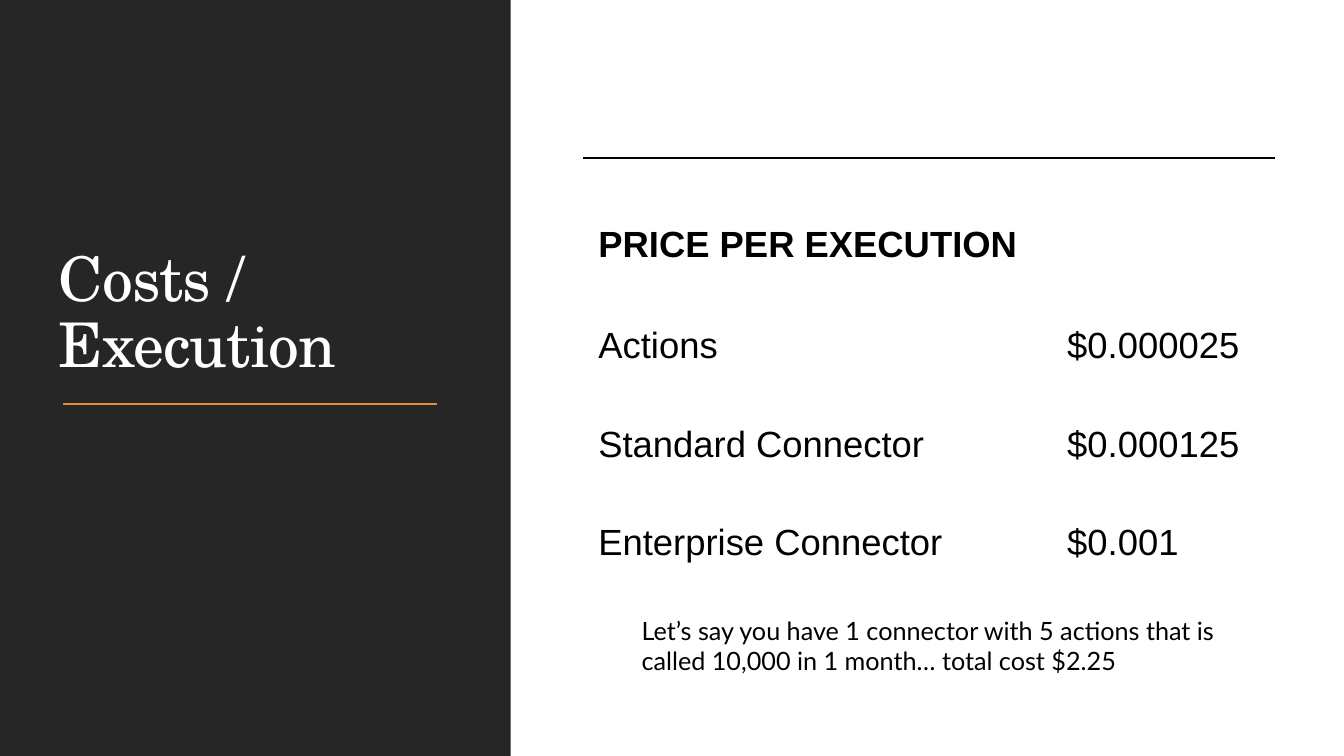
from lxml import etree
from pptx import Presentation
from pptx import util as u
from pptx.dml.color import RGBColor
from pptx.enum import shapes, text
from pptx.oxml.ns import qn

THEME = {
    "panel": RGBColor.from_string("262626"),
    "accent": RGBColor.from_string("E88B33"),
    "light": RGBColor.from_string("FFFFFF"),
    "dark": RGBColor.from_string("000000"),
    "title": ("TeX Gyre Schola", 44),
    "table": ("Arial", 26),
    "note": ("Lato", 18),
}

prs = Presentation()
prs.slide_width, prs.slide_height = u.Inches(13.33), u.Inches(7.5)
W, H = prs.slide_width, prs.slide_height
s = prs.slides.add_slide(prs.slide_layouts[5])


def place(x, y, w, h):
    """Turn shares of the slide's size into lengths."""
    return int(x * W), int(y * H), int(w * W), int(h * H)


def style(p, kind, color, bold=False):
    p.alignment = text.PP_ALIGN.LEFT
    for r in p.runs:
        r.font.name, size = THEME[kind]
        r.font.size = u.Pt(size)
        r.font.bold = bold
        r.font.color.rgb = THEME[color]


# Dark panel, behind the title
panel = s.shapes.add_shape(shapes.MSO_SHAPE.RECTANGLE, *place(0, 0, 0.38, 1))
panel.shadow.inherit = False
panel.fill.solid()
panel.fill.fore_color.rgb = THEME["panel"]
panel.line.fill.background()
s.shapes.title._element.addprevious(panel._element)

# Title
title = s.shapes.title
title.left, title.top, title.width, title.height = place(0.036, 0.093, 0.3, 0.418)
tf = title.text_frame
tf.text = "Costs / Execution"
tf.word_wrap = True
tf.auto_size = text.MSO_AUTO_SIZE.NONE
tf.vertical_anchor = text.MSO_ANCHOR.BOTTOM
p = tf.paragraphs[0]
p.line_spacing = 0.9
style(p, "title", "light")
p.runs[0].font._element.set("spc", "-50")

# Accent rule under the title
x, y, w, h = place(0.047, 0.535, 0.278, 0)
rule = s.shapes.add_connector(shapes.MSO_CONNECTOR.STRAIGHT, x, y, x + w, y)
rule.line.color.rgb = THEME["accent"]
rule.line.width = u.Pt(1.5)
etree.SubElement(rule._element.spPr, qn("a:effectLst"))

# Price table
prices = [
    ("PRICE PER EXECUTION", ""),
    ("Actions", "$0.000025"),
    ("Standard Connector", "$0.000125"),
    ("Enterprise Connector", "$0.001"),
]
frame = s.shapes.add_table(len(prices), 2, *place(0.434, 0.209, 0.515, 0.58))
table = frame.table
table.first_row = table.horz_banding = False
for column, width in zip(table.columns, (4.65, 2.21)):
    column.width = u.Inches(width)
for i, values in enumerate(prices):
    header = i == 0
    table.rows[i].height = u.Inches(1.41 if header else 0.98)
    for cell, value in zip(table.rows[i].cells, values):
        cell.text = value
        cell.margin_left, cell.margin_right = u.Inches(0.15), u.Inches(0.11)
        cell.margin_top = u.Inches(0.66 if header else 0.25)
        cell.margin_bottom = u.Inches(0.22)
        style(cell.text_frame.paragraphs[0], "table", "dark", header)
        # Only the top edge of the header has a border
        tcPr = cell._tc.get_or_add_tcPr()
        for edge in ("lnL", "lnR", "lnT", "lnB"):
            ln = etree.SubElement(tcPr, qn("a:" + edge), w=str(u.Pt(1)))
            if header and edge == "lnT":
                fill = etree.SubElement(ln, qn("a:solidFill"))
                etree.SubElement(fill, qn("a:srgbClr"), val=str(THEME["dark"]))
            else:
                etree.SubElement(ln, qn("a:noFill"))
        cell.fill.background()

# Worked example
note = s.shapes.add_textbox(*place(0.47, 0.807, 0.473, 0.095))
tf = note.text_frame
tf.word_wrap = True
tf.text = "Let’s say you have 1 connector with 5 actions that is called 10,000 in 1 month… total cost $2.25"
style(tf.paragraphs[0], "note", "dark")

prs.save("out.pptx")
